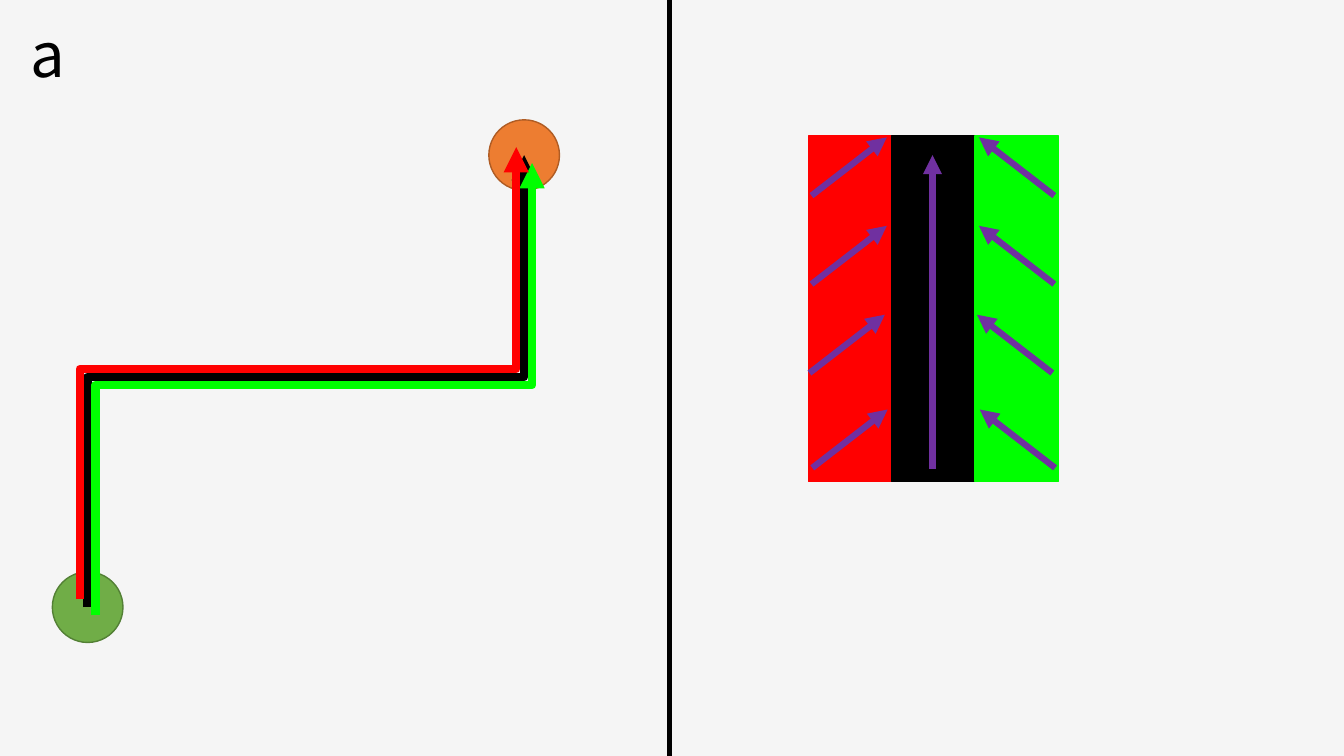
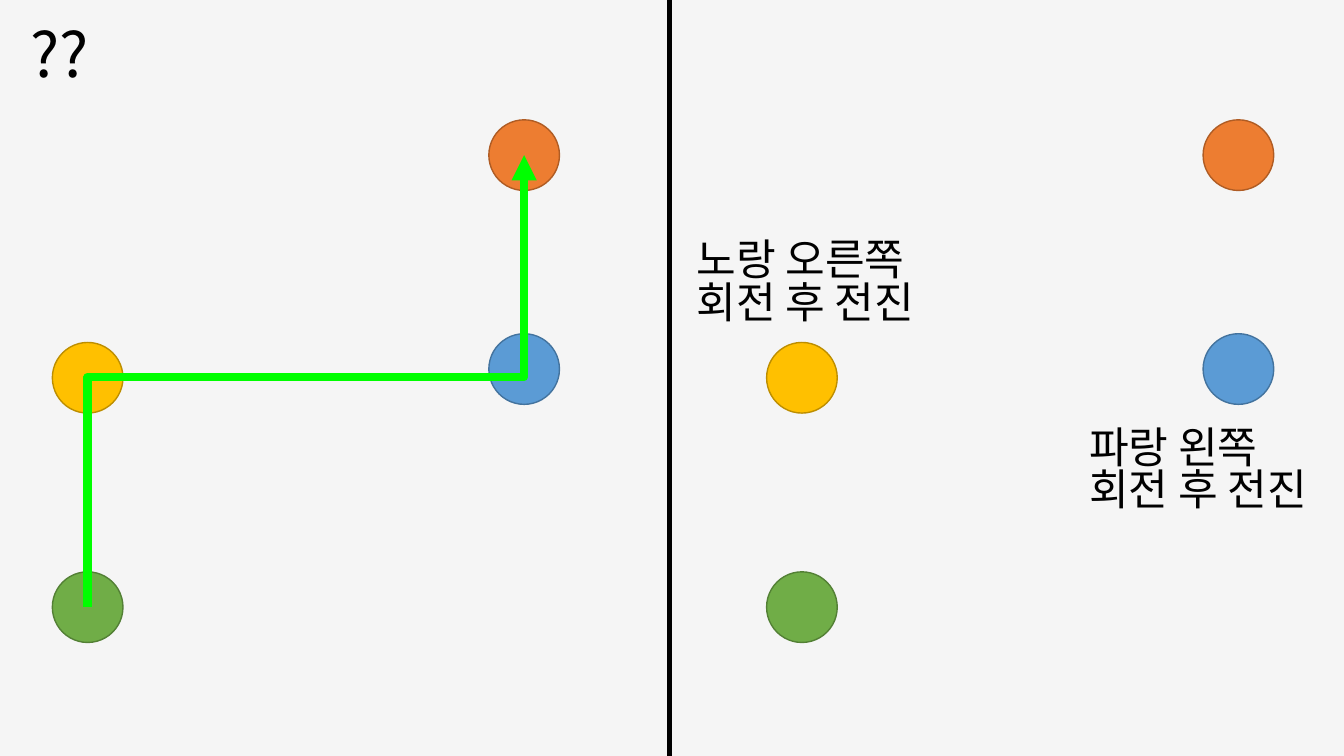
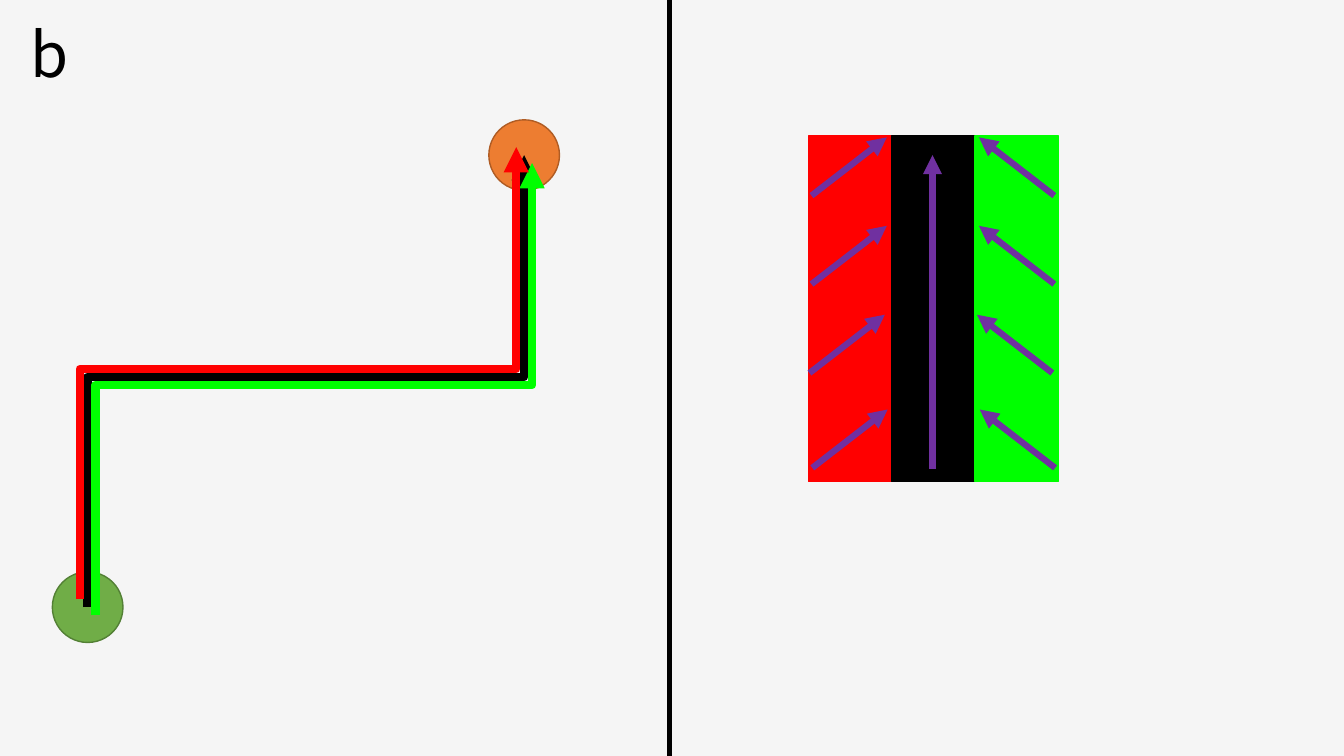
from dataclasses import dataclass

from lxml.etree import SubElement
from pptx import Presentation
from pptx.dml.color import RGBColor
from pptx.enum.shapes import MSO_CONNECTOR, MSO_SHAPE
from pptx.enum.text import MSO_ANCHOR
from pptx.oxml.ns import qn
from pptx.presentation import Presentation as Deck
from pptx.shapes.autoshape import Shape
from pptx.shapes.connector import Connector
from pptx.slide import Slide
from pptx.util import Cm, Pt

PAPER = RGBColor(0xF5, 0xF5, 0xF5)
BLACK = RGBColor(0x00, 0x00, 0x00)
RED = RGBColor(0xFF, 0x00, 0x00)
LIME = RGBColor(0x00, 0xFF, 0x00)
PURPLE = RGBColor(0x70, 0x30, 0xA0)
GREEN = RGBColor(0x70, 0xAD, 0x47)
GREEN_EDGE = RGBColor(0x53, 0x80, 0x35)
ORANGE = RGBColor(0xED, 0x7D, 0x31)
ORANGE_EDGE = RGBColor(0xAF, 0x5C, 0x24)
YELLOW = RGBColor(0xFF, 0xC0, 0x00)
YELLOW_EDGE = RGBColor(0xBD, 0x8E, 0x00)
BLUE = RGBColor(0x5B, 0x9B, 0xD5)
BLUE_EDGE = RGBColor(0x43, 0x73, 0x9E)

FONT = "Noto Sans CJK KR"
SLIDE_WIDTH, SLIDE_HEIGHT = 33.87, 19.05
DIVIDER_X = 16.87
DIAMETER = 1.78
RIGHT_PANEL_SHIFT = 18.0
ROUTE_BEND = 0.509
ROUTE_SHIFT = 0.2
BAR_LEFT, BAR_TOP, BAR_WIDTH, BAR_HEIGHT = 20.37, 3.43, 2.1, 8.71
ARROW_RUN, ARROW_RISE, ARROW_MIRROR = 1.9, 1.47, 6.12


@dataclass(frozen=True)
class Spot:
    x: float
    y: float
    fill: RGBColor
    edge: RGBColor


@dataclass(frozen=True)
class Label:
    left: float
    top: float
    width: float
    height: float
    lines: tuple[str, ...]
    size: float
    spacing: float


START = Spot(2.21, 15.3, GREEN, GREEN_EDGE)
GOAL = Spot(13.21, 3.91, ORANGE, ORANGE_EDGE)
RIGHT_TURN = Spot(2.21, 9.52, YELLOW, YELLOW_EDGE)
LEFT_TURN = Spot(13.21, 9.3, BLUE, BLUE_EDGE)

ARROW_TAILS = ((20.47, 11.79), (20.4, 9.4), (20.45, 7.16), (20.45, 4.93))
LANE_ROUTES = ((BLACK, 0), (LIME, ROUTE_SHIFT), (RED, -ROUTE_SHIFT))
TURN_LABELS = (
    Label(17.3, 5.69, 6.91, 2.95, ("노랑 오른쪽 회전 후 전진",), 30.8, 0.83),
    Label(27.2, 10.41, 6.91, 2.95, ("파랑 왼쪽", "회전 후 전진"), 30.8, 0.83),
)


def style_shape(shape: Shape, fill: RGBColor, edge: RGBColor) -> None:
    shape.shadow.inherit = False
    shape.fill.solid()
    shape.fill.fore_color.rgb = fill
    shape.line.color.rgb = edge
    shape.line.width = Pt(1)


def style_connector(line: Connector, color: RGBColor, width: float, arrow: bool) -> None:
    line.line.color.rgb = color
    line.line.width = Pt(width)
    properties = line._element.spPr
    if arrow:
        SubElement(properties.find(qn("a:ln")), qn("a:tailEnd"), type="triangle")
    SubElement(properties, qn("a:effectLst"))


def draw_spot(page: Slide, spot: Spot, shift: float = 0) -> None:
    radius = DIAMETER / 2
    circle = page.shapes.add_shape(
        MSO_SHAPE.OVAL, Cm(spot.x - radius + shift), Cm(spot.y - radius), Cm(DIAMETER), Cm(DIAMETER)
    )
    style_shape(circle, spot.fill, spot.edge)


def draw_line(
    page: Slide, x1: float, y1: float, x2: float, y2: float, color: RGBColor, width: float, arrow: bool = True
) -> None:
    line = page.shapes.add_connector(MSO_CONNECTOR.STRAIGHT, Cm(x1), Cm(y1), Cm(x2), Cm(y2))
    style_connector(line, color, width, arrow)


def draw_route(page: Slide, color: RGBColor, shift: float) -> None:
    center_x = (START.x + GOAL.x) / 2 + shift
    center_y = (START.y + GOAL.y) / 2 + shift
    half_length = (START.y - GOAL.y) / 2
    half_breadth = (GOAL.x - START.x) / 2
    route = page.shapes.add_connector(
        MSO_CONNECTOR.ELBOW,
        Cm(center_x + half_length),
        Cm(center_y + half_breadth),
        Cm(center_x - half_length),
        Cm(center_y - half_breadth),
    )
    properties = route._element.spPr
    properties.find(qn("a:xfrm")).set("rot", "5400000")
    adjustments = properties.find(qn("a:prstGeom")).find(qn("a:avLst"))
    SubElement(adjustments, qn("a:gd"), name="adj1", fmla=f"val {round(ROUTE_BEND * 100000)}")
    style_connector(route, color, 6, True)


def draw_label(page: Slide, label: Label) -> None:
    box = page.shapes.add_textbox(Cm(label.left), Cm(label.top), Cm(label.width), Cm(label.height))
    frame = box.text_frame
    frame.word_wrap = True
    frame.vertical_anchor = MSO_ANCHOR.MIDDLE
    frame.text = "\n".join(label.lines)
    for paragraph in frame.paragraphs:
        paragraph.line_spacing = label.spacing
        for span in paragraph.runs:
            span.font.size = Pt(label.size)
            span.font.name = FONT
            span.font.color.rgb = BLACK
            SubElement(span._r.get_or_add_rPr(), qn("a:ea"), typeface=FONT)


def add_page(deck: Deck, title: str) -> Slide:
    page = deck.slides.add_slide(deck.slide_layouts[6])
    draw_spot(page, START)
    draw_spot(page, GOAL)
    draw_line(page, DIVIDER_X, 0, DIVIDER_X, SLIDE_HEIGHT, BLACK, 3, arrow=False)
    draw_label(page, Label(0.51, 0.56, 7.44, 1.9, (title,), 44, 0.8))
    return page


def draw_lanes(page: Slide) -> None:
    for index, color in enumerate((RED, BLACK, LIME)):
        bar = page.shapes.add_shape(
            MSO_SHAPE.RECTANGLE, Cm(BAR_LEFT + index * BAR_WIDTH), Cm(BAR_TOP), Cm(BAR_WIDTH), Cm(BAR_HEIGHT)
        )
        style_shape(bar, color, color)
    for x, y in ARROW_TAILS:
        for tail, run in ((x, ARROW_RUN), (x + ARROW_MIRROR, -ARROW_RUN)):
            draw_line(page, tail, y, tail + run, y - ARROW_RISE, PURPLE, 4.5)
    draw_line(page, 23.5, 11.81, 23.5, 3.91, PURPLE, 4.5)


def add_lane_page(deck: Deck, title: str) -> None:
    page = add_page(deck, title)
    for color, shift in LANE_ROUTES:
        draw_route(page, color, shift)
    draw_lanes(page)


def add_turn_page(deck: Deck) -> None:
    page = add_page(deck, "??")
    for spot in (RIGHT_TURN, LEFT_TURN):
        draw_spot(page, spot)
    for spot in (START, GOAL, RIGHT_TURN, LEFT_TURN):
        draw_spot(page, spot, RIGHT_PANEL_SHIFT)
    draw_route(page, LIME, 0)
    for label in TURN_LABELS:
        draw_label(page, label)


def main() -> None:
    deck = Presentation()
    deck.slide_width, deck.slide_height = Cm(SLIDE_WIDTH), Cm(SLIDE_HEIGHT)
    background = deck.slide_master.background.fill
    background.solid()
    background.fore_color.rgb = PAPER
    add_lane_page(deck, "a")
    add_turn_page(deck)
    add_lane_page(deck, "b")
    deck.save("out.pptx")


if __name__ == "__main__":
    main()
